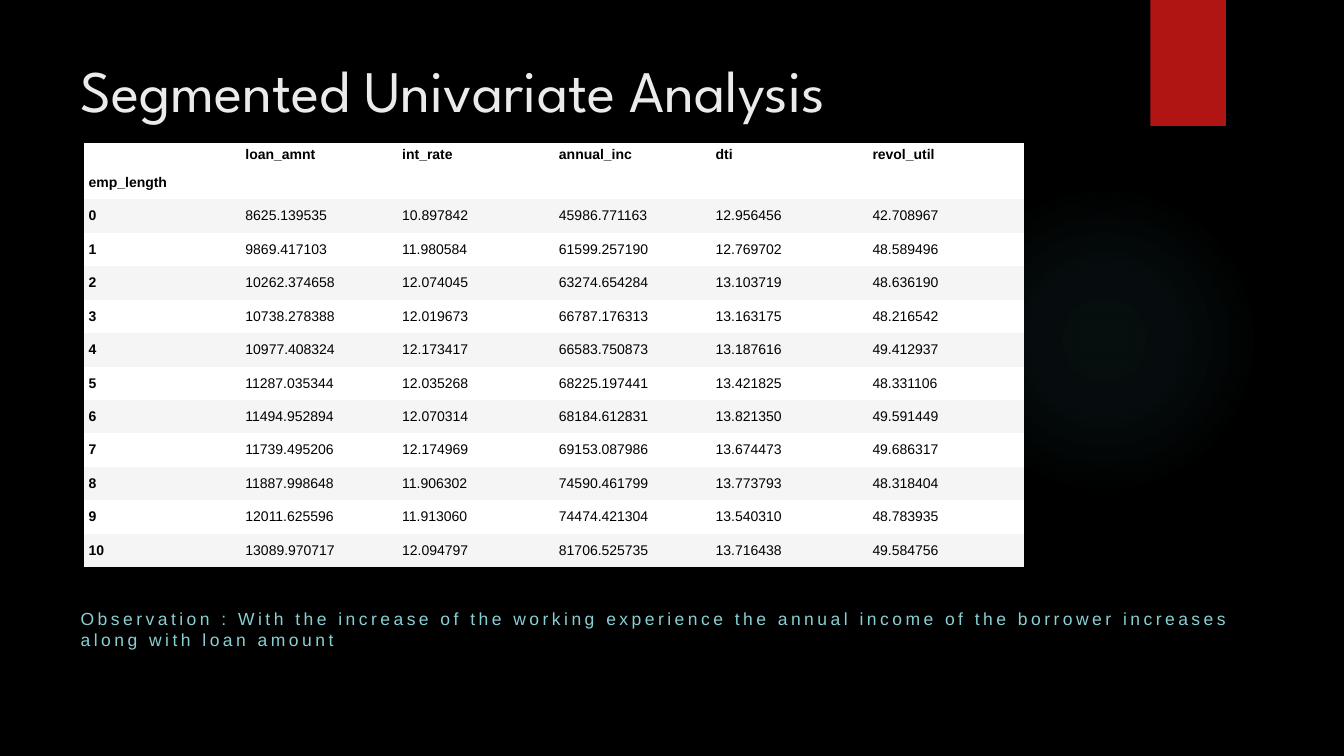
"""Build the slide on segmented univariate analysis."""
import lxml.etree
import pptx
import pptx.dml.color
import pptx.enum.shapes
import pptx.enum.text
import pptx.oxml
import pptx.oxml.ns
import pptx.util

Inches = pptx.util.Inches
Pt = pptx.util.Pt
RGBColor = pptx.dml.color.RGBColor
SHAPE = pptx.enum.shapes.MSO_SHAPE
qn = pptx.oxml.ns.qn

BLACK = RGBColor(0x00, 0x00, 0x00)
WHITE = RGBColor(0xFF, 0xFF, 0xFF)
GREY = RGBColor(0xF5, 0xF5, 0xF5)
RED = RGBColor(0xB0, 0x15, 0x13)
PALE = RGBColor(0xEB, 0xEB, 0xEB)
AQUA = RGBColor(0x89, 0xD0, 0xD5)
TEAL = RGBColor(0x50, 0xB9, 0xC1)

PLAIN = "{2D5ABB26-0587-4C30-8999-92F81FD0307C}"
HEADS = ["", "loan_amnt", "int_rate", "annual_inc", "dti", "revol_util"]
LOANS = """
0 8625.139535 10.897842 45986.771163 12.956456 42.708967
1 9869.417103 11.980584 61599.257190 12.769702 48.589496
2 10262.374658 12.074045 63274.654284 13.103719 48.636190
3 10738.278388 12.019673 66787.176313 13.163175 48.216542
4 10977.408324 12.173417 66583.750873 13.187616 49.412937
5 11287.035344 12.035268 68225.197441 13.421825 48.331106
6 11494.952894 12.070314 68184.612831 13.821350 49.591449
7 11739.495206 12.174969 69153.087986 13.674473 49.686317
8 11887.998648 11.906302 74590.461799 13.773793 48.318404
9 12011.625596 11.913060 74474.421304 13.540310 48.783935
10 13089.970717 12.094797 81706.525735 13.716438 49.584756
"""
ROWS = [HEADS, ["emp_length"] + [""] * 5]
ROWS += [line.split() for line in LOANS.strip().splitlines()]
NOTE = ("Observation : With the increase of the working experience the annual "
        "income of the borrower increases along with loan amount")


def write(frame, text, size=10, font="Arial", color=BLACK, bold=False,
          before=0, gap=0):
    para = frame.paragraphs[0]
    para.space_before = Pt(before)
    if not text:
        end = lxml.etree.SubElement(para._p, qn("a:endParaRPr"))
        end.set("sz", str(size * 100))
        return
    run = para.add_run()
    run.text = text
    run.font.size = Pt(size)
    run.font.name = font
    run.font.bold = bold
    run.font.color.rgb = color
    if gap:
        run._r.get_or_add_rPr().set("spc", str(int(gap * 100)))


def add_text(slide, box, text, **style):
    frame = slide.shapes.add_textbox(*map(Inches, box)).text_frame
    frame.word_wrap = True
    frame.auto_size = pptx.enum.text.MSO_AUTO_SIZE.SHAPE_TO_FIT_TEXT
    frame.margin_left = Inches(0.01)
    frame.margin_top = Inches(0.01)
    frame.margin_right = frame.margin_bottom = 0
    write(frame, text, **style)


def add_block(slide, kind, box, color):
    shape = slide.shapes.add_shape(kind, *map(Inches, box))
    shape.shadow.inherit = False
    shape.fill.solid()
    shape.fill.fore_color.rgb = color
    shape.line.fill.background()
    return shape


def add_glow(slide, box):
    props = add_block(slide, SHAPE.OVAL, box, TEAL)._element.spPr
    stops = "".join(
        f'<a:gs pos="{pos * 1000}"><a:srgbClr val="{TEAL}">'
        f'<a:alpha val="{alpha * 1000}"/></a:srgbClr></a:gs>'
        for pos, alpha in [(0, 7), (36, 6), (69, 0), (100, 0)])
    fade = pptx.oxml.parse_xml(
        f'<a:gradFill {pptx.oxml.ns.nsdecls("a")}><a:gsLst>{stops}</a:gsLst>'
        '<a:path path="circle"><a:fillToRect l="50000" t="50000" '
        'r="50000" b="50000"/></a:path></a:gradFill>')
    props.replace(props.find(qn("a:solidFill")), fade)


def add_tab(slide, box):
    props = add_block(slide, SHAPE.RECTANGLE, box, RED)._element.spPr
    props.find(qn("a:effectLst")).append(pptx.oxml.parse_xml(
        f'<a:outerShdw {pptx.oxml.ns.nsdecls("a")} blurRad="{Pt(3)}" '
        f'dist="{Pt(2)}" dir="5400000"><a:srgbClr val="{BLACK}">'
        '<a:alpha val="45000"/></a:srgbClr></a:outerShdw>'))


def add_grid(slide, box, rows, head):
    wide, high = box[2:]
    count, span = len(rows), len(rows[0])
    table = slide.shapes.add_table(count, span, *map(Inches, box)).table
    table.first_row = table.horz_banding = False
    table._tbl.tblPr.find(qn("a:tableStyleId")).text = PLAIN
    for col in table.columns:
        col.width = Inches(wide / span)
    for r, row in enumerate(rows):
        table.rows[r].height = Inches((high - head) / (count - 1) if r else head)
        for c, text in enumerate(row):
            cell = table.cell(r, c)
            cell.fill.solid()
            cell.fill.fore_color.rgb = GREY if r > 1 and r % 2 == 0 else WHITE
            cell.margin_left = cell.margin_right = Inches(0.05)
            cell.margin_top = cell.margin_bottom = Inches(0.03)
            cell.vertical_anchor = pptx.enum.text.MSO_ANCHOR.MIDDLE
            write(cell.text_frame, text, bold=r < 2 or c == 0)


def main():
    deck = pptx.Presentation()
    deck.slide_width, deck.slide_height = Inches(13.33), Inches(7.5)
    slide = deck.slides.add_slide(deck.slide_layouts[6])
    slide.background.fill.solid()
    slide.background.fill.fore_color.rgb = BLACK
    add_glow(slide, (9.41, 1.83, 3.08, 3.08))
    add_tab(slide, (11.41, 0, 0.75, 1.25))
    add_text(slide, (0.79, 0.52, 8.7, 0.72), "Segmented Univariate Analysis",
             size=42, font="League Spartan", color=PALE, before=1)
    add_text(slide, (0.79, 6.02, 11.79, 0.43), NOTE,
             size=12.5, color=AQUA, before=0.9, gap=2.5)
    add_grid(slide, (0.83, 1.42, 9.33, 4.2), ROWS, 0.22)
    deck.save("out.pptx")


if __name__ == "__main__":
    main()
